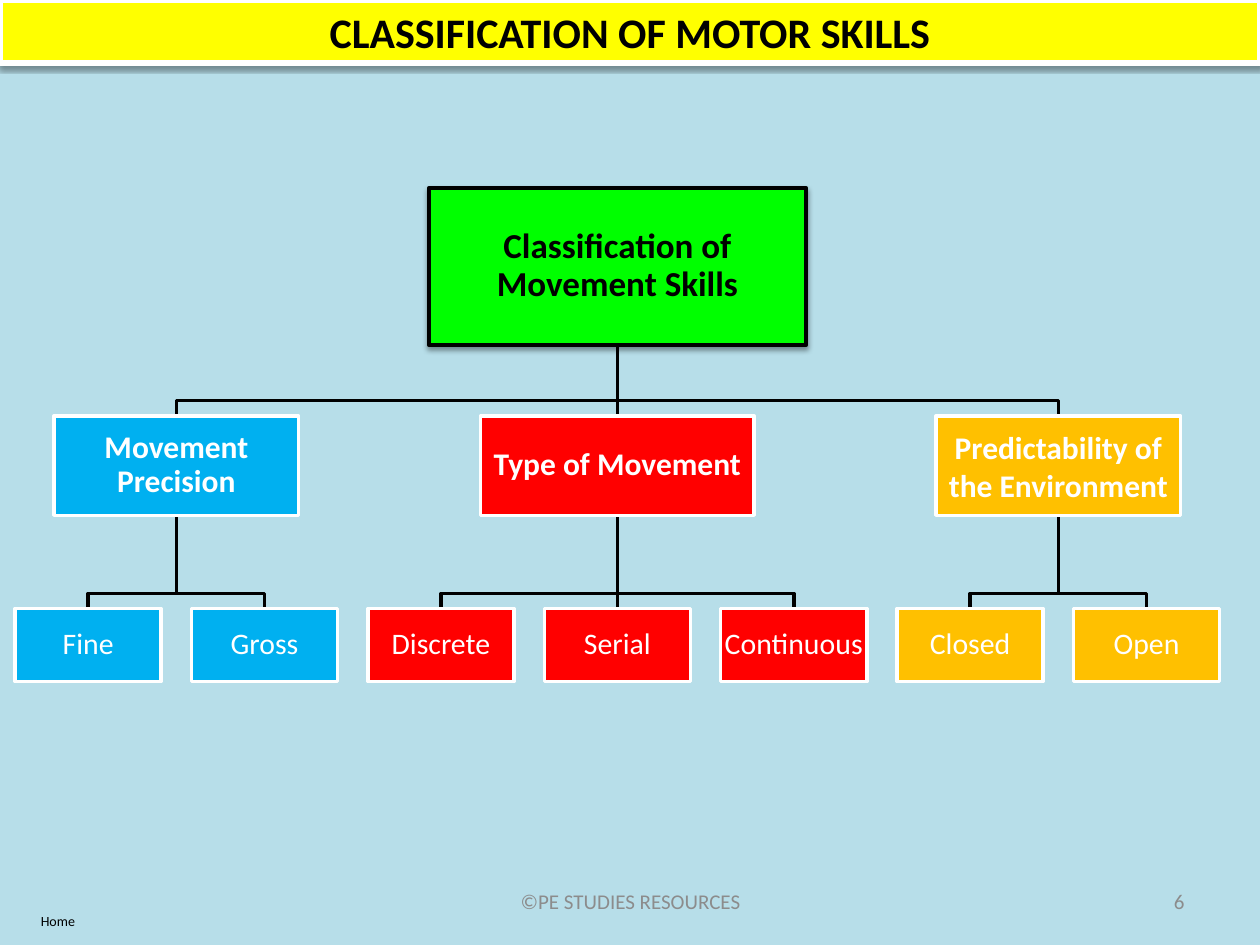
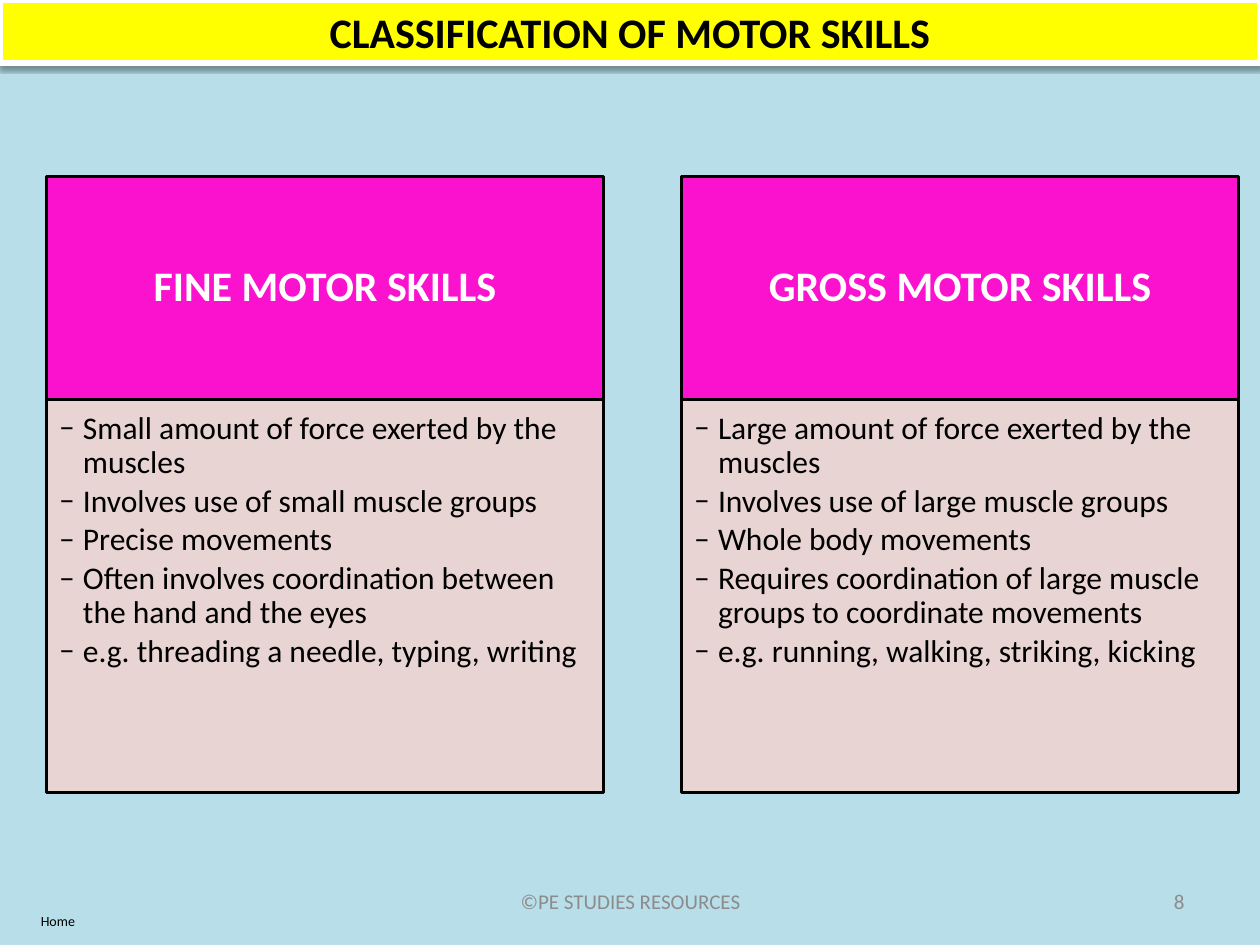
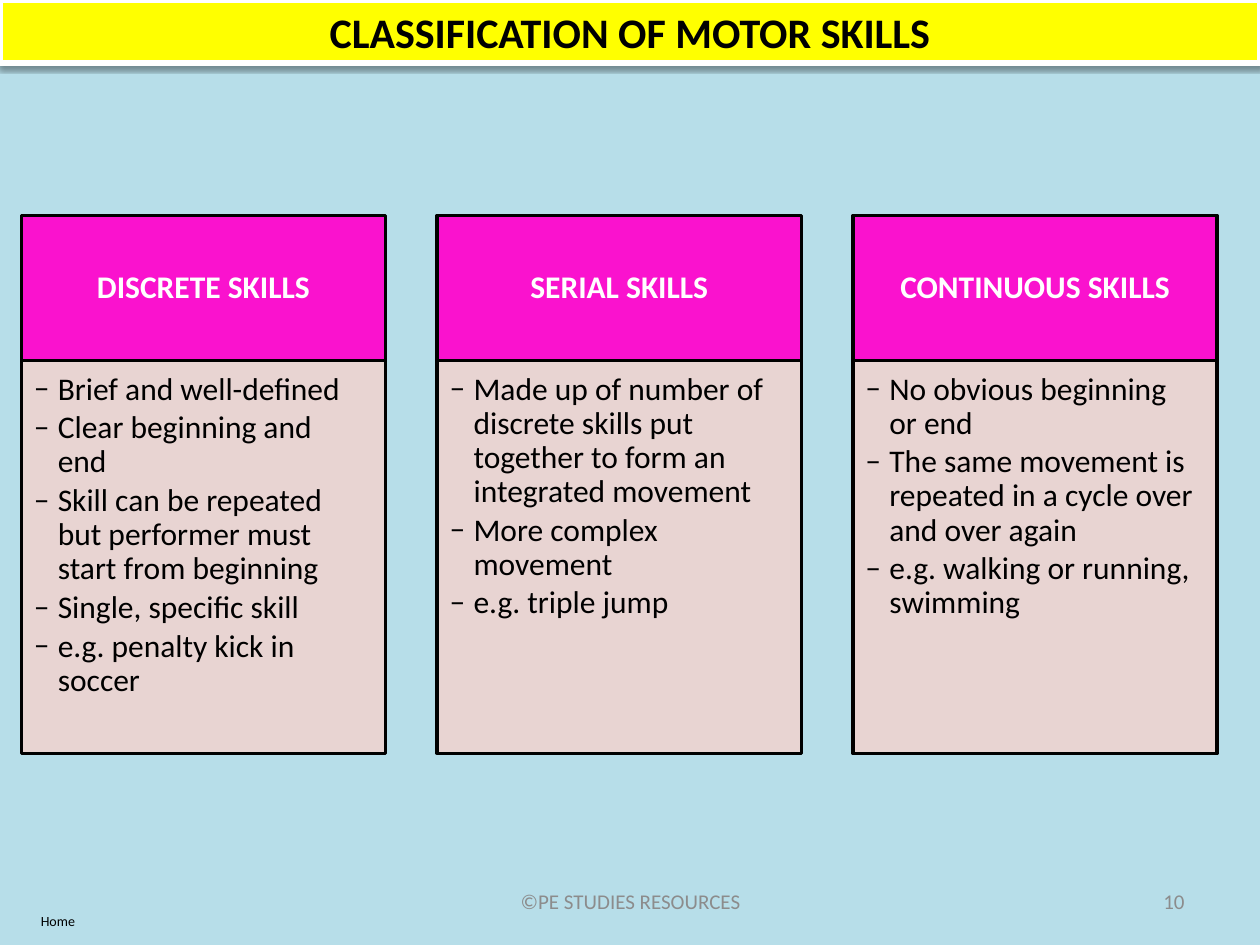
from lxml import etree
from pptx import Presentation
from pptx.dml.color import RGBColor
from pptx.enum.shapes import MSO_CONNECTOR, MSO_SHAPE
from pptx.enum.text import MSO_ANCHOR, MSO_AUTO_SIZE, PP_ALIGN
from pptx.oxml.ns import qn
from pptx.util import Inches, Pt

RECT = MSO_SHAPE.RECTANGLE
STRAIGHT = MSO_CONNECTOR.STRAIGHT
TOP, MIDDLE = MSO_ANCHOR.TOP, MSO_ANCHOR.MIDDLE
LEFT, CENTER, RIGHT = PP_ALIGN.LEFT, PP_ALIGN.CENTER, PP_ALIGN.RIGHT

SKY = RGBColor(0xB7, 0xDE, 0xE9)
YELLOW = RGBColor(0xFF, 0xFF, 0x00)
GREEN = RGBColor(0x00, 0xFF, 0x00)
BLUE = RGBColor(0x00, 0xB0, 0xF0)
RED = RGBColor(0xFF, 0x00, 0x00)
AMBER = RGBColor(0xFF, 0xC0, 0x00)
PINK = RGBColor(0xFA, 0x12, 0xCE)
ROSE = RGBColor(0xEE, 0xD3, 0xD0)
GREY = RGBColor(0x8C, 0x8C, 0x8C)
BLACK = RGBColor(0x00, 0x00, 0x00)
WHITE = RGBColor(0xFF, 0xFF, 0xFF)

FONT = "Calibri"
TITLE = "CLASSIFICATION OF MOTOR SKILLS"
CREDIT = "©PE STUDIES RESOURCES"
DASH = "–"

# Tree: rows from the top, and the even spacing of the leaves
ROOT = "Classification of Movement Skills"
ROOT_TOP, ROOT_W, ROOT_H = 1.49, 2.99, 1.25
GROUP_TOP, GROUP_H = 3.3, 0.79
LEAF_TOP, LEAF_W, LEAF_H = 4.83, 1.16, 0.58
LEAF_X, LEAF_STEP = 0.7, 1.4
BEND = 0.12
GROUPS = [
    ("Movement Precision", BLUE, 1.94, 0.9, ["Fine", "Gross"]),
    ("Type of Movement", RED, 2.17, 0.9, ["Discrete", "Serial", "Continuous"]),
    ("Predictability of the Environment", AMBER, 1.94, 1.0, ["Closed", "Open"]),
]

BODY_H = 3.12
FORCE = [
    ("FINE MOTOR SKILLS", [
        "Small amount of force exerted by the muscles",
        "Involves use of small muscle groups",
        "Precise movements",
        "Often involves coordination between the hand and the eyes",
        "e.g. threading a needle, typing, writing"]),
    ("GROSS MOTOR SKILLS", [
        "Large amount of force exerted by the muscles",
        "Involves use of large muscle groups",
        "Whole body movements",
        "Requires coordination of large muscle groups to coordinate movements",
        "e.g. running, walking, striking, kicking"]),
]
KINDS = [
    ("DISCRETE SKILLS", [
        "Brief and well-defined",
        "Clear beginning and end",
        "Skill can be repeated but performer must start from beginning",
        "Single, specific skill",
        "e.g. penalty kick in soccer"]),
    ("SERIAL SKILLS", [
        "Made up of number of discrete skills put together to form an "
        "integrated movement",
        "More complex movement",
        "e.g. triple jump"]),
    ("CONTINUOUS SKILLS", [
        "No obvious beginning or end",
        "The same movement is repeated in a cycle over and over again",
        "e.g. walking or running, swimming"]),
]


def paint(shape, fill, edge, width):
    shape.fill.solid()
    shape.fill.fore_color.rgb = fill
    shape.line.color.rgb = edge
    shape.line.width = Pt(width)
    shape.shadow.inherit = False


def cast(shape):
    """Give a painted shape a soft shadow straight below it."""
    effects = shape._element.spPr.find(qn("a:effectLst"))
    outer = etree.SubElement(effects, qn("a:outerShdw"), blurRad=str(Pt(3.1)),
                             dist=str(Pt(1.6)), dir="5400000", rotWithShape="0")
    color = etree.SubElement(outer, qn("a:srgbClr"), val="000000")
    etree.SubElement(color, qn("a:alpha"), val="38000")


def fade(shape, percent):
    color = shape._element.spPr.find(qn("a:solidFill"))[0]
    etree.SubElement(color, qn("a:alpha"), val=str(percent * 1000))


def dash(par):
    """Hang the paragraph from a dash bullet."""
    props = par._p.get_or_add_pPr()
    props.set("marL", str(Inches(0.19)))
    props.set("indent", str(-Inches(0.19)))
    etree.SubElement(props, qn("a:buFont"), typeface=FONT)
    etree.SubElement(props, qn("a:buChar"), char=DASH)


def write(shape, lines, size, color, bold=False, align=CENTER, anchor=MIDDLE,
          pads=(0.1, 0.05, 0.1, 0.05), spacing=1.0, bullets=False):
    frame = shape.text_frame
    frame.word_wrap = True
    frame.auto_size = MSO_AUTO_SIZE.NONE
    frame.vertical_anchor = anchor
    (frame.margin_left, frame.margin_top,
     frame.margin_right, frame.margin_bottom) = map(Inches, pads)
    frame.text = "\n".join(lines)
    for par in frame.paragraphs:
        par.alignment = align
        par.line_spacing = spacing
        if bullets:
            par.space_after = Pt(2.7)
            dash(par)
        font = par.font
        font.name, font.size, font.bold = FONT, Pt(size), bold
        font.color.rgb = color


def add_box(slide, x, y, w, h, fill, edge, width=2):
    box = slide.shapes.add_shape(RECT, *map(Inches, (x, y, w, h)))
    paint(box, fill, edge, width)
    return box


def add_note(slide, x, y, w, h, text, size, color, align=CENTER):
    note = slide.shapes.add_textbox(*map(Inches, (x, y, w, h)))
    write(note, [text], size, color, align=align)


def add_slide(deck, number):
    """Start a slide with the title band and the footer."""
    slide = deck.slides.add_slide(deck.slide_layouts[5])
    band = slide.shapes.title
    band.left, band.top, band.width, band.height = map(Inches, (0, 0, 10, 0.5))
    paint(band, YELLOW, WHITE, 3)
    cast(band)
    write(band, [TITLE], 24, BLACK, bold=True)
    add_note(slide, 3.42, 6.95, 3.17, 0.4, CREDIT, 12, GREY)
    add_note(slide, 7.17, 6.95, 2.33, 0.4, str(number), 12, GREY, RIGHT)
    add_note(slide, 0, 7.19, 0.92, 0.24, "Home", 8, BLACK)
    return slide


def add_link(slide, x1, y1, x2, y2):
    """Join a box to one below it, with a bend where they are not in line."""
    if abs(x1 - x2) < 0.01:
        link = slide.shapes.add_connector(STRAIGHT, *map(Inches, (x1, y1, x2, y2)))
        etree.SubElement(link._element.spPr, qn("a:effectLst"))
    else:
        turn = y2 - BEND
        path = slide.shapes.build_freeform(Inches(x1), Inches(y1))
        path.add_line_segments([(Inches(x), Inches(y)) for x, y in
                                ((x1, turn), (x2, turn), (x2, y2))], close=False)
        link = path.convert_to_shape()
        link.fill.background()
        link.shadow.inherit = False
    link.line.color.rgb = BLACK
    link.line.width = Pt(2)


def add_node(slide, mid, y, w, h, text, fill, size, color=WHITE, edge=WHITE,
             width=2, bold=True, spacing=0.9):
    node = add_box(slide, mid - w / 2, y, w, h, fill, edge, width)
    write(node, [text], size, color, bold, pads=[0.01] * 4, spacing=spacing)
    return node


def add_tree(slide):
    start, tree = 0, []
    for group in GROUPS:
        count = len(group[-1])
        mids = [LEAF_X + LEAF_STEP * (start + i) for i in range(count)]
        tree.append((sum(mids) / count, mids, group))
        start += count
    hub = LEAF_X + LEAF_STEP * (start - 1) / 2

    for mid, mids, _ in tree:
        add_link(slide, hub, ROOT_TOP + ROOT_H, mid, GROUP_TOP)
        for leaf in mids:
            add_link(slide, mid, GROUP_TOP + GROUP_H, leaf, LEAF_TOP)

    root = add_node(slide, hub, ROOT_TOP, ROOT_W, ROOT_H, ROOT, GREEN, 20,
                    BLACK, BLACK, 2.25)
    cast(root)
    for mid, mids, (name, fill, w, spacing, names) in tree:
        add_node(slide, mid, GROUP_TOP, w, GROUP_H, name, fill, 18,
                 spacing=spacing)
        for leaf, text in zip(mids, names):
            add_node(slide, leaf, LEAF_TOP, LEAF_W, LEAF_H, text, fill, 17,
                     bold=False)


def add_cards(slide, cards, left, top, step, w, head_h, size):
    """Set cards side by side, each a heading over a dashed list."""
    for i, (name, points) in enumerate(cards):
        x = left + i * step
        head = add_box(slide, x, top, w, head_h, PINK, BLACK)
        write(head, [name], size, WHITE, bold=True, spacing=0.9)
        body = add_box(slide, x, top + head_h, w, BODY_H, ROSE, BLACK)
        fade(body, 90)
        write(body, points, 18, BLACK, align=LEFT, anchor=TOP,
              pads=(0.1, 0.1, 0.16, 0.16), spacing=0.9, bullets=True)


def main():
    deck = Presentation()
    deck.slide_width, deck.slide_height = Inches(10), Inches(7.5)
    back = deck.slide_master.background.fill
    back.solid()
    back.fore_color.rgb = SKY

    add_tree(add_slide(deck, 6))
    add_cards(add_slide(deck, 8), FORCE, left=0.37, top=1.4, step=5.04,
              w=4.42, head_h=1.77, size=24)
    add_cards(add_slide(deck, 10), KINDS, left=0.17, top=1.71, step=3.3,
              w=2.89, head_h=1.15, size=18)
    deck.save("out.pptx")


if __name__ == "__main__":
    main()
